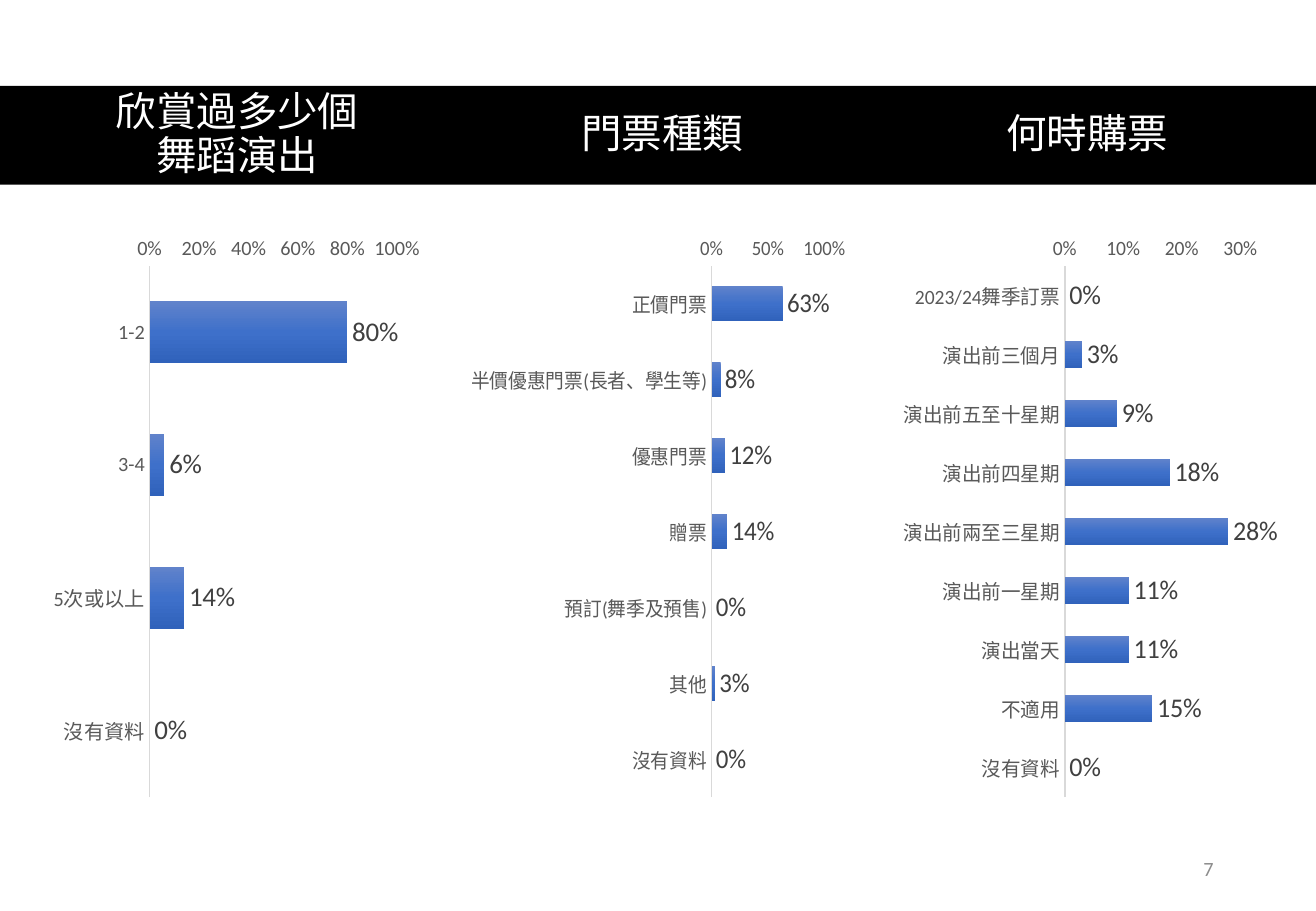
from dataclasses import dataclass

from lxml import etree
from pptx import Presentation
from pptx import util as u
from pptx.chart import data as chart_data
from pptx.dml import color
from pptx.enum import chart as ch, shapes, text
from pptx.oxml import ns


@dataclass(frozen=True)
class Theme:
    """Colours, fonts and type sizes of the slide."""
    band: str = "000000"
    heading: str = "FFFFFF"
    axis_text: str = "595959"
    axis_line: str = "D9D9D9"
    value_text: str = "404040"
    page_text: str = "8C8C8C"
    bar_stops: tuple = ((0, "6183CB"), (50, "3E70CA"), (100, "3062BB"))
    heading_font: str = "Arial"
    body_font: str = "Calibri"
    heading_size: int = 24
    value_size: int = 16
    small_size: int = 12
    base_size: int = 10


THEME = Theme()
SLIDE_WIDTH, SLIDE_HEIGHT = 780, 540
BAND_BOX = (0, 51, SLIDE_WIDTH, 58.5)
PAGE_BOX = (551, 500.5, 175.5, 29)
COLUMN_LEFT, COLUMN_PITCH, COLUMN_WIDTH = 27.25, 252, 226
HEADING_INDENT, HEADING_WIDTH = 22.75, 181
CHART_TOP, CHART_HEIGHT = 133.5, 346

QUESTIONS = (
    ("欣賞過多少個舞蹈演出", 1, 0.2,
     {"1-2": 0.8, "3-4": 0.06, "5次或以上": 0.14, "沒有資料": 0}),
    ("門票種類", 1, 0.5,
     {"正價門票": 0.63, "半價優惠門票(長者、學生等)": 0.08, "優惠門票": 0.12,
      "贈票": 0.14, "預訂(舞季及預售)": 0, "其他": 0.03, "沒有資料": 0}),
    ("何時購票", 0.3, 0.1,
     {"2023/24舞季訂票": 0, "演出前三個月": 0.03, "演出前五至十星期": 0.09,
      "演出前四星期": 0.18, "演出前兩至三星期": 0.28, "演出前一星期": 0.11,
      "演出當天": 0.11, "不適用": 0.15, "沒有資料": 0}),
)


def points(box):
    """Turn a box of numbers into lengths."""
    return [u.Pt(length) for length in box]


def style_font(font, size, ink, face):
    """Set the size, colour and face of a font."""
    font.size, font.name = u.Pt(size), face
    font.color.rgb = color.RGBColor.from_string(ink)


def write_text(frame, words, *, size, ink, face, align, spacing=1.0):
    """Write one formatted, vertically centred paragraph."""
    frame.word_wrap = True
    frame.auto_size = text.MSO_AUTO_SIZE.NONE
    frame.vertical_anchor = text.MSO_ANCHOR.MIDDLE
    paragraph = frame.paragraphs[0]
    paragraph.alignment, paragraph.line_spacing = align, spacing
    run = paragraph.add_run()
    run.text = words
    style_font(run.font, size, ink, face)


def shade_bars(series):
    """Fill the bars with the vertical theme gradient."""
    properties = series.format.fill._xPr
    gradient = etree.SubElement(properties, ns.qn("a:gradFill"), rotWithShape="1")
    stops = etree.SubElement(gradient, ns.qn("a:gsLst"))
    for position, ink in THEME.bar_stops:
        stop = etree.SubElement(stops, ns.qn("a:gs"), pos=str(position * 1000))
        etree.SubElement(stop, ns.qn("a:srgbClr"), val=ink)
    etree.SubElement(gradient, ns.qn("a:lin"), ang="5400000", scaled="0")


def draw_band(slide, box):
    """Draw the dark heading band behind the title."""
    band = slide.shapes.add_shape(shapes.MSO_SHAPE.RECTANGLE, *points(box))
    band.shadow.inherit = False
    band.fill.solid()
    band.fill.fore_color.rgb = color.RGBColor.from_string(THEME.band)
    band.line.fill.background()
    slide.shapes.title._element.addprevious(band._element)


def draw_heading(slide, box, words, is_title):
    """Place a column heading, the first one in the title placeholder."""
    if is_title:
        heading = slide.shapes.title
        heading.left, heading.top, heading.width, heading.height = points(box)
    else:
        heading = slide.shapes.add_textbox(*points(box))
    write_text(heading.text_frame, words, size=THEME.heading_size,
               ink=THEME.heading, face=THEME.heading_font,
               align=text.PP_ALIGN.CENTER, spacing=0.9)


def draw_chart(slide, box, answers, top_value, step):
    """Draw the bar chart of one question in its box."""
    shares = chart_data.CategoryChartData(number_format="0%")
    shares.categories = list(answers)
    shares.add_series("Series 1", list(answers.values()))
    chart = slide.shapes.add_chart(
        ch.XL_CHART_TYPE.BAR_CLUSTERED, *points(box), shares).chart
    chart.has_legend = chart.has_title = False
    style_font(chart.font, THEME.base_size, THEME.band, THEME.body_font)

    for axis in (chart.category_axis, chart.value_axis):
        axis.has_major_gridlines = False
        axis.major_tick_mark = axis.minor_tick_mark = ch.XL_TICK_MARK.NONE
        style_font(axis.tick_labels.font, THEME.small_size,
                   THEME.axis_text, THEME.body_font)
    chart.category_axis.reverse_order = True
    category_line = chart.category_axis.format.line
    category_line.width = u.Pt(1)
    category_line.color.rgb = color.RGBColor.from_string(THEME.axis_line)
    share_axis = chart.value_axis
    share_axis.format.line.fill.background()
    share_axis.minimum_scale, share_axis.maximum_scale = 0, top_value
    share_axis.major_unit = step
    share_axis.tick_labels.number_format = "0%"
    share_axis.tick_labels.number_format_is_linked = False

    plot = chart.plots[0]
    plot.gap_width, plot.overlap, plot.vary_by_categories = 115, -20, False
    shade_bars(plot.series[0])
    plot.has_data_labels = True
    labels = plot.data_labels
    labels.show_value = True
    labels.number_format, labels.number_format_is_linked = "0%", False
    labels.position = ch.XL_LABEL_POSITION.OUTSIDE_END
    style_font(labels.font, THEME.value_size, THEME.value_text, THEME.body_font)


def draw_page_number(slide, box, number):
    """Place the page number."""
    page = slide.shapes.add_textbox(*points(box))
    write_text(page.text_frame, number, size=THEME.small_size,
               ink=THEME.page_text, face=THEME.body_font,
               align=text.PP_ALIGN.RIGHT)


def build_survey_slide(deck):
    """Build the slide with one heading and chart per question."""
    slide = deck.slides.add_slide(deck.slide_layouts[5])
    draw_band(slide, BAND_BOX)
    _, band_top, _, band_height = BAND_BOX
    for column, (question, top_value, step, answers) in enumerate(QUESTIONS):
        left = COLUMN_LEFT + column * COLUMN_PITCH
        draw_heading(slide, (left + HEADING_INDENT, band_top, HEADING_WIDTH,
                             band_height), question, column == 0)
        draw_chart(slide, (left, CHART_TOP, COLUMN_WIDTH, CHART_HEIGHT),
                   answers, top_value, step)
    draw_page_number(slide, PAGE_BOX, "7")


def main():
    """Create the deck and save it."""
    deck = Presentation()
    deck.slide_width, deck.slide_height = points((SLIDE_WIDTH, SLIDE_HEIGHT))
    build_survey_slide(deck)
    deck.save("out.pptx")


if __name__ == "__main__":
    main()
